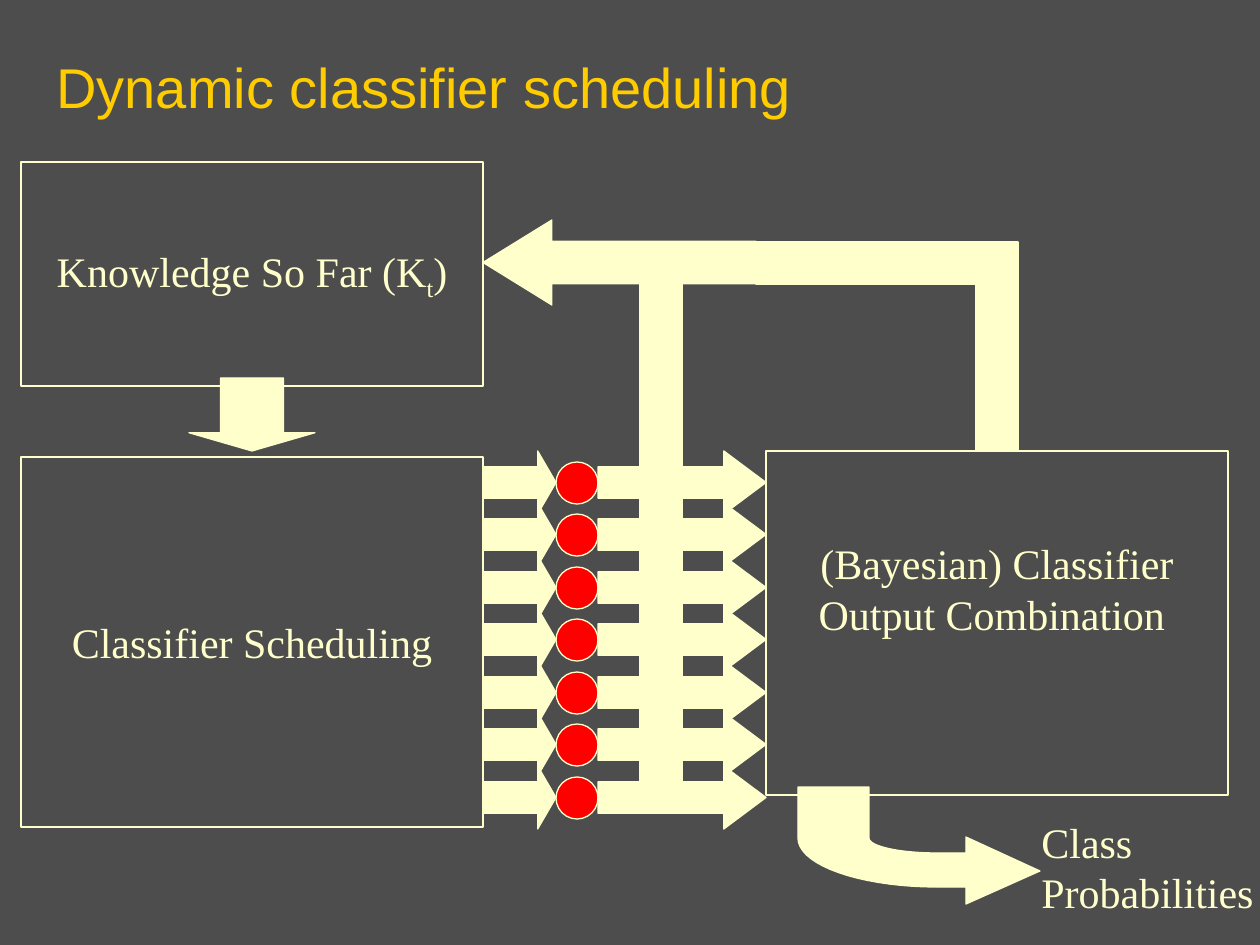
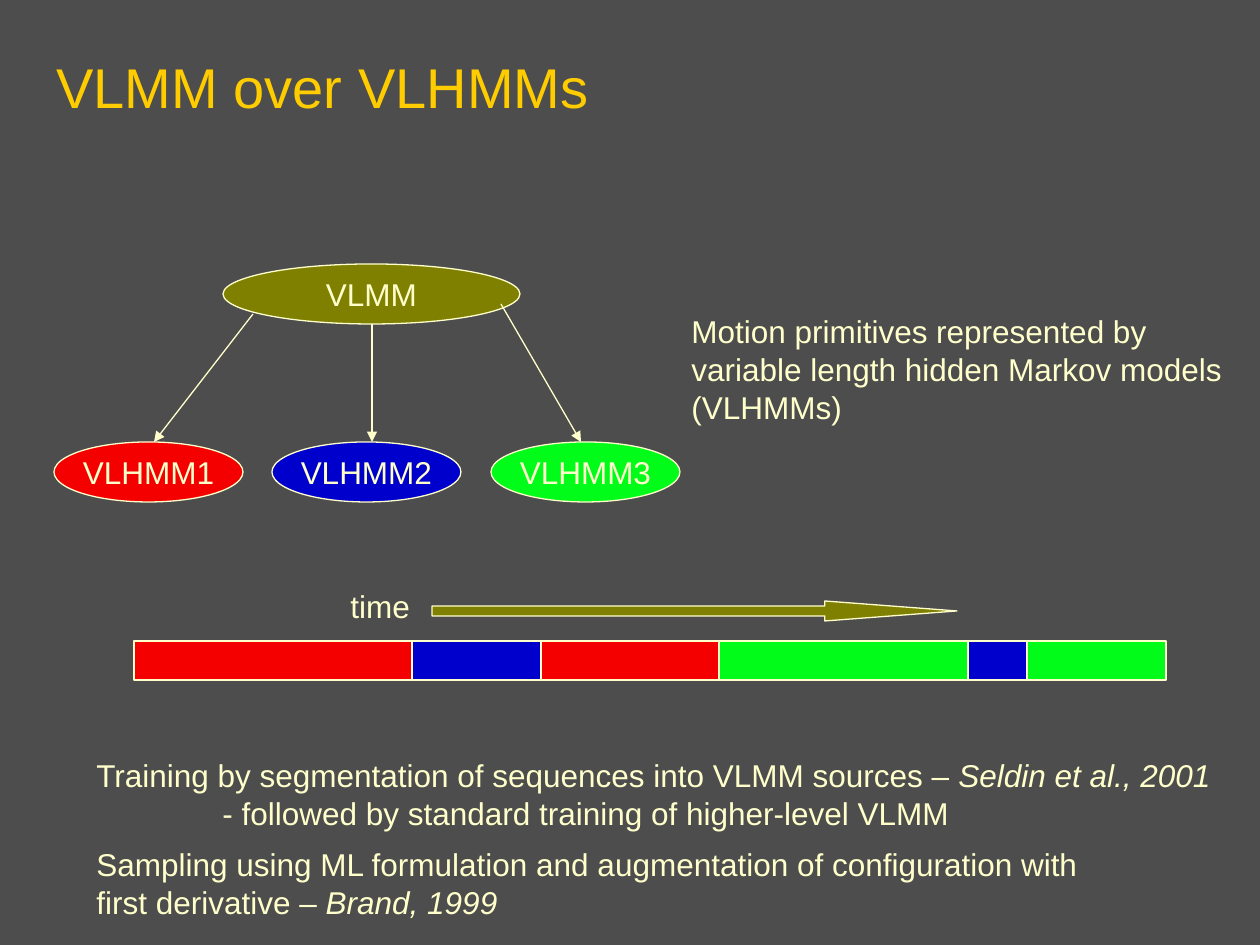
import math
from pptx import Presentation
from pptx import util as u
from pptx.dml.color import RGBColor
from pptx.enum import shapes, text
from pptx.oxml.ns import qn

PX = 914400 / 126
GREY, CREAM, GOLD, OLIVE = "4D4D4D", "FFFFCC", "FFCC00", "808000"
RED, BLUE, GREEN, DOT_RED = "F40000", "0000CC", "02FC1A", "FF0000"
SANS, SERIF = "Arial", "Times New Roman"
KIND = shapes.MSO_SHAPE
color = RGBColor.from_string


def draw(slide, kind, box, fill=CREAM, adjustments=()):
    """Add a preset shape, or a plain text box when kind is None."""
    box = [u.Emu(round(length * PX)) for length in box]
    if kind is None:
        return slide.shapes.add_textbox(*box)
    shape = slide.shapes.add_shape(kind, *box)
    shape.shadow.inherit = False
    shape.fill.solid()
    shape.fill.fore_color.rgb = color(fill)
    shape.line.color.rgb = color(CREAM)
    shape.line.width = u.Pt(0.75)
    for index, value in enumerate(adjustments):
        shape.adjustments[index] = value
    return shape


def write(shape, paragraphs, size=18, font=SANS, ink=CREAM, anchor="TOP", align="LEFT", wrap=True):
    """Fill a shape with paragraphs, each a list of (text, style) runs."""
    frame = shape.text_frame
    frame.word_wrap = wrap
    frame.vertical_anchor = text.MSO_ANCHOR[anchor]
    for number, runs in enumerate(paragraphs):
        paragraph = frame.add_paragraph() if number else frame.paragraphs[0]
        paragraph.alignment = text.PP_ALIGN[align]
        for words, style in runs:
            run = paragraph.add_run()
            run.text = words
            run.font.size = u.Pt(size)
            run.font.name = font
            run.font.color.rgb = color(ink)
            if style == "italic":
                run.font.italic = True
            elif style == "subscript":
                run.font._element.set("baseline", "-25000")
    return frame


presentation = Presentation()
presentation.slide_width = u.Emu(round(1260 * PX))
presentation.slide_height = u.Emu(round(945 * PX))

# Shared background and title
slides = []
for title in ("Dynamic classifier scheduling", "VLMM over VLHMMs"):
    slide = presentation.slides.add_slide(presentation.slide_layouts[6])
    slide.background.fill.solid()
    slide.background.fill.fore_color.rgb = color(GREY)
    write(draw(slide, None, (44, 45, 1191, 81)), [[(title, "")]], 32, ink=GOLD, anchor="BOTTOM")
    slides.append(slide)
scheduling, models = slides

# Slide 1: knowledge and scheduling boxes
stages = [
    ((21, 162, 462, 224), [("Knowledge So Far (K", ""), ("t", "subscript"), (")", "")]),
    ((21, 457, 462, 370), [("Classifier Scheduling", "")]),
    ((766, 451, 462, 344), [("(Bayesian) Classifier Output Combination ", "")]),
]
for box, runs in stages:
    stage = draw(scheduling, KIND.RECTANGLE, box, GREY)
    frame = write(stage, [runs], 24, SERIF, anchor="MIDDLE", align="CENTER")
frame.margin_bottom = u.Emu(round(76 * PX))
draw(scheduling, KIND.DOWN_ARROW, (189, 378, 126, 73), adjustments=(0.5, 0.25))

# Seven classifiers, each with an arrow in and an arrow out
for row in range(7):
    middle = 483 + 105 * row // 2
    draw(scheduling, KIND.OVAL, (556, middle - 21, 42, 42), DOT_RED)
    draw(scheduling, KIND.RIGHT_ARROW, (483, middle - 32, 73, 63), adjustments=(0.5, 0.29))
    draw(scheduling, KIND.RIGHT_ARROW, (598, middle - 32, 168, 63), adjustments=(0.5, 0.67))

# Feedback path to the knowledge box
draw(scheduling, KIND.LEFT_ARROW, (483, 220, 273, 85), adjustments=(0.5, 0.81))
for box in ((640, 283, 42, 525), (756, 242, 262, 42), (976, 262, 42, 189)):
    draw(scheduling, KIND.RECTANGLE, box)

# Bent arrow: two quarter ellipses joined by a straight head
quarter = [math.radians(degrees) for degrees in range(0, 91, 5)]
outer = [(937 - 139 * math.cos(a), 838 + 49 * math.sin(a)) for a in quarter]
inner = [(937 - 68 * math.cos(a), 838 + 15 * math.sin(a)) for a in reversed(quarter)]
head = [(966, 887), (966, 904), (1040, 871), (966, 837), (966, 853)]
outline = [(round(x * PX), round(y * PX)) for x, y in outer + head + inner + [(869, 787)]]
builder = scheduling.shapes.build_freeform(round(798 * PX), round(787 * PX))
builder.add_line_segments(outline, close=True)
bent_arrow = builder.convert_to_shape()
bent_arrow.shadow.inherit = False
bent_arrow.fill.solid()
bent_arrow.fill.fore_color.rgb = color(CREAM)
bent_arrow.line.color.rgb = color(CREAM)
bent_arrow.line.width = u.Pt(0.75)

result = draw(scheduling, None, (1029, 810, 231, 113))
write(result, [[("Class Probabilities", "")]], 24, SERIF).margin_right = 0

# Slide 2: model hierarchy
nodes = [("VLMM", (223, 264, 297, 60), OLIVE)]
for index, fill in enumerate((RED, BLUE, GREEN)):
    nodes.append((f"VLHMM{index + 1}", (54 + 437 * index // 2, 442, 189, 60), fill))
for label, box, fill in nodes:
    node = draw(models, KIND.OVAL, box, fill)
    write(node, [[(label, "")]], anchor="MIDDLE", align="CENTER", wrap=False)

for ends in ((253, 314, 154, 442), (372, 324, 372, 442), (501, 304, 581, 442)):
    ends = [u.Emu(round(length * PX)) for length in ends]
    link = models.shapes.add_connector(shapes.MSO_CONNECTOR.STRAIGHT, *ends)
    link.line.color.rgb = color(CREAM)
    link.line.width = u.Pt(0.75)
    line = link.line._get_or_add_ln()
    line.append(line.makeelement(qn("a:tailEnd"), {"type": "triangle"}))
    properties = link._element.spPr
    properties.append(properties.makeelement(qn("a:effectLst"), {}))

# Time line of model segments
edges = [134, 412, 541, 719, 968, 1027, 1166]
for left, right, fill in zip(edges, edges[1:], (RED, BLUE, RED, GREEN, BLUE, GREEN)):
    draw(models, KIND.RECTANGLE, (left, 641, right - left, 39), fill)
draw(models, KIND.RIGHT_ARROW, (432, 601, 525, 20), OLIVE, (0.5, 6.61))

# Explanations
notes = [
    ((679, 306, 570, 126), [
        [("Motion primitives represented by", "")],
        [("variable length hidden Markov models", "")],
        [("(VLHMMs)", "")],
    ]),
    ((338, 581, 94, 50), [[("time", "")]]),
    ((84, 839, 1100, 88), [
        [("Sampling using ML formulation and augmentation of configuration with", "")],
        [("first derivative – ", ""), ("Brand, 1999", "italic")],
    ]),
    ((84, 750, 1160, 88), [
        [("Training by segmentation of sequences into VLMM sources – ", ""),
         ("Seldin et al., 2001", "italic")],
        [("- followed by standard training of higher-level VLMM", "")],
    ]),
]
for box, paragraphs in notes:
    frame = write(draw(models, None, box), paragraphs)
# Indent the follow-up line under the training note
frame.paragraphs[1]._p.get_or_add_pPr().set("marL", str(round(126 * PX)))

presentation.save("out.pptx")
